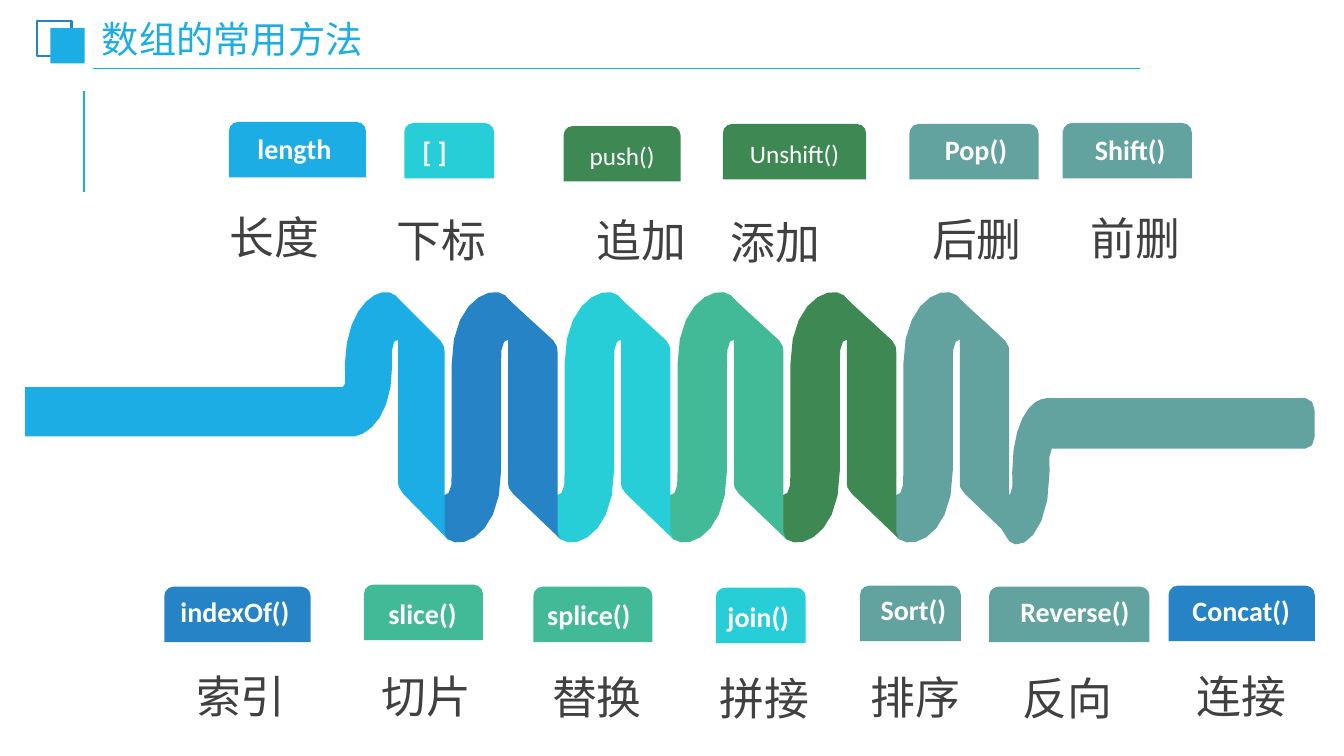
import math
import pptx
import pptx.util
import pptx.dml.color
import pptx.enum.shapes
import pptx.enum.text
import pptx.oxml

Inches = pptx.util.Inches
KIND = pptx.enum.shapes.MSO_SHAPE
ALIGN = pptx.enum.text.PP_ALIGN
ANCHOR = pptx.enum.text.MSO_ANCHOR
SKY, BLUE, CYAN = "1CADE4", "2683C6", "27CED7"
MINT, GREEN, TEAL = "42BA97", "3E8853", "62A39F"
WHITE, GREY = "FFFFFF", "404040"

HOOK = [
    (0.72, 1.77), (0.72, 0.72), (0.72, 0.6, 0.72, 0.52, 0.75, 0.49),
    (0.84, 0.4, 0.93, 0.45, 0.95, 0.38), (0.98, 0.29, 0.84, 0.1, 0.76, 0.03),
    (0.63, -0.08, 0.23, 0.07, 0.23, 0.71), (0.23, 1.77),
    (0.23, 1.89, 0.23, 1.96, 0.2, 1.99), (0.11, 2.08, 0.02, 2.04, 0, 2.1),
    (-0.03, 2.19, 0.11, 2.38, 0.19, 2.45), (0.33, 2.56, 0.72, 2.41, 0.72, 1.77),
]
FOLD = [
    (1.28, 2.37), (1.28, 0.59), (1.28, 0.57, 1.28, 0.52, 1.24, 0.48),
    (0.75, 0.03), (0.76, 0.03, 0.79, 0.07, 0.79, 0.12),
    (0.79, 1.9), (0.79, 1.91, 0.79, 1.96, 0.84, 2),
    (1.32, 2.46), (1.31, 2.45, 1.28, 2.42, 1.28, 2.37),
]
LEAD = [
    (3.54, 0), (3.59, -0.01, 3.64, 0, 3.67, 0.03),
    (3.75, 0.1, 3.88, 0.29, 3.85, 0.38), (3.84, 0.45, 3.75, 0.4, 3.66, 0.49),
    (3.63, 0.52, 3.64, 0.6, 3.64, 0.72), (3.64, 1.2, 3.43, 1.4, 3.27, 1.43),
    (0, 1.43), (0, 0.94), (3.15, 0.94), (3.17, 0.91),
    (3.18, 0.87, 3.17, 0.8, 3.17, 0.72), (3.18, 0.24, 3.39, 0.03, 3.54, 0),
]
LEAD_FOLD = [
    (4.16, 2.37), (4.16, 0.59), (4.16, 0.57, 4.16, 0.52, 4.12, 0.48),
    (3.67, 0.03), (3.67, 0.03, 3.7, 0.07, 3.7, 0.12),
    (3.7, 1.9), (3.7, 1.91, 3.71, 1.96, 3.75, 2),
    (4.2, 2.46), (4.19, 2.45, 4.16, 2.42, 4.16, 2.37),
]
TAIL = [
    (10.13, 1.05), (12.7, 1.05), (12.75, 1.05, 12.79, 1.11, 12.79, 1.17),
    (12.79, 1.43), (12.79, 1.5, 12.75, 1.55, 12.7, 1.55), (10.18, 1.55),
    (10.18, 1.56), (10.15, 1.58, 10.16, 1.66, 10.16, 1.78),
    (10.16, 2.42, 9.86, 2.58, 9.76, 2.47), (9.7, 2.39, 9.6, 2.21, 9.62, 2.11),
    (9.63, 2.05, 9.7, 2.09, 9.77, 2), (9.8, 1.98, 9.79, 1.9, 9.79, 1.78),
    (9.79, 1.3, 9.96, 1.09, 10.08, 1.06), (10.13, 1.05),
]
TAGS = [
    ("length", SKY, 2.27, 1.21, 1.36, 2.92, 1.26, "长度", 2.72, 1.87),
    ("[ ]", CYAN, 4.01, 1.22, 0.89, 4.31, 1.29, "下标", 4.38, 1.9),
    ("push()", GREEN, 5.59, 1.25, 1.16, None, None, "追加", 6.36, 1.9),
    ("Unshift()", GREEN, 7.17, 1.23, 1.42, None, None, "添加", 7.69, 1.92),
    ("Pop()", TEAL, 9.02, 1.23, 1.28, 9.68, 1.27, "后删", 9.69, 1.89),
    ("Shift()", TEAL, 10.54, 1.22, 1.28, 11.21, 1.27, "前删", 11.26, 1.88),
    ("indexOf()", BLUE, 1.63, 5.82, 1.45, 2.33, 5.85, "索引", 2.39, 6.42),
    ("slice()", MINT, 3.61, 5.8, 1.18, 4.19, 5.87, "切片", 4.23, 6.42),
    ("splice()", MINT, 5.29, 5.82, 1.18, 5.84, 5.88, "替换", 5.92, 6.43),
    ("join()", CYAN, 7.1, 5.83, 0.89, 7.52, 5.9, "拼接", 7.58, 6.44),
    ("Sort()", TEAL, 8.53, 5.81, 1, 9.06, 5.83, "排序", 9.08, 6.43),
    ("Reverse()", TEAL, 9.81, 5.82, 1.59, 10.66, 5.85, "反向", 10.59, 6.44),
    ("Concat()", BLUE, 11.59, 5.81, 1.45, 12.31, 5.84, "连接", 12.31, 6.42),
]


def tint(code):
    return pptx.dml.color.RGBColor.from_string(code)


def apply(thing, look):
    for name, value in look.items():
        setattr(thing, name, value)


def write(frame, text, size, code, bold=False, **look):
    frame.word_wrap = True
    line = frame.paragraphs[0]
    apply(line, look)
    run = line.add_run()
    run.text = text
    apply(run.font, {"name": "Calibri", "size": pptx.util.Pt(size), "bold": bold})
    run.font.color.rgb = tint(code)


def label(slide, box, text, size, code, **look):
    frame = slide.shapes.add_textbox(*map(Inches, box)).text_frame
    write(frame, text, size, code, **look)
    return frame


def paint(shape, code):
    shape.shadow.inherit = False
    shape.fill.solid()
    shape.fill.fore_color.rgb = tint(code)
    shape.line.fill.background()


def rule(slide, ends, code, width):
    line = slide.shapes.add_connector(
        pptx.enum.shapes.MSO_CONNECTOR.STRAIGHT, *map(Inches, ends))
    line.line.color.rgb = tint(code)
    line.line.width = pptx.util.Pt(width)
    props = line._element.spPr
    props.append(pptx.oxml.parse_xml(
        '<a:effectLst xmlns:a="http://schemas.openxmlformats.org/drawingml/2006/main"/>'))


def trace(steps):
    points = [steps[0]]
    for step in steps[1:]:
        if len(step) == 2:
            points.append(step)
            continue
        (ax, ay), (bx, by, cx, cy, dx, dy) = points[-1], step
        count = max(2, round(8 * math.hypot(dx - ax, dy - ay)))
        for k in range(1, count + 1):
            t = k / count
            u = 1 - t
            p, q, r, s = u ** 3, 3 * u * u * t, 3 * u * t * t, t ** 3
            points.append((p * ax + q * bx + r * cx + s * dx,
                           p * ay + q * by + r * cy + s * dy))
    return points


def band(slide, left, top, steps, code):
    points = [(Inches(left + x), Inches(top + y)) for x, y in trace(steps)]
    pen = slide.shapes.build_freeform(*points[0])
    pen.add_line_segments(points[1:], close=True)
    paint(pen.convert_to_shape(), code)


def ribbon(slide, left, top):
    band(slide, left, top, TAIL, TEAL)
    coils = list(enumerate([BLUE, CYAN, MINT, GREEN, TEAL]))
    for k, code in reversed(coils):
        for steps in (HOOK, FOLD):
            band(slide, left + 4 + 1.12 * k, top, steps, code)
    for steps in (LEAD, LEAD_FOLD):
        band(slide, left, top, steps, SKY)


def header(slide, left, top):
    rule(slide, (left + 0.46, top + 1.69, left + 0.46, top + 0.69), SKY, 1.5)
    rule(slide, (left + 0.55, top + 0.47, left + 10.94, top + 0.47), SKY, 1.25)
    for shift, drop in ((0, 0), (0.13, 0.07)):
        box = (left + shift, top + drop, 0.34, 0.35)
        square = slide.shapes.add_shape(KIND.RECTANGLE, *map(Inches, box))
        paint(square, SKY)
        if not shift:
            square.fill.background()
            square.line.color.rgb = tint(BLUE)
            square.line.width = pptx.util.Pt(1.5)
    frame = label(slide, (left + 0.57, top + 0.02, 3.93, 0.37),
                  "数组的常用方法", 26.6, SKY, line_spacing=0.9)
    apply(frame, {"vertical_anchor": ANCHOR.MIDDLE,
                  "margin_left": Inches(0.07), "margin_right": Inches(0.07),
                  "margin_top": Inches(0.04), "margin_bottom": Inches(0.04)})


def method(slide, name, code, left, top, width, mid, high, gloss, axis, low):
    tab = slide.shapes.add_shape(
        KIND.ROUND_2_SAME_RECTANGLE, *map(Inches, (left, top, width, 0.55)))
    paint(tab, code)
    if mid is None:
        tab.text_frame.vertical_anchor = ANCHOR.MIDDLE
        write(tab.text_frame, name, 18, WHITE, alignment=ALIGN.CENTER)
    else:
        label(slide, (mid - width / 2, high, width, 0.44), name, 20, WHITE,
              bold=True, alignment=ALIGN.CENTER)
    label(slide, (axis - 1.31, low, 2.62, 0.75), gloss, 32, GREY,
          alignment=ALIGN.CENTER, line_spacing=1.3)


def main():
    deck = pptx.Presentation()
    apply(deck, {"slide_width": Inches(13.33), "slide_height": Inches(7.5)})
    slide = deck.slides.add_slide(deck.slide_layouts[6])
    header(slide, 0.37, 0.21)
    ribbon(slide, 0.25, 2.9)
    for tag in TAGS:
        method(slide, *tag)
    deck.save("out.pptx")


if __name__ == "__main__":
    main()
